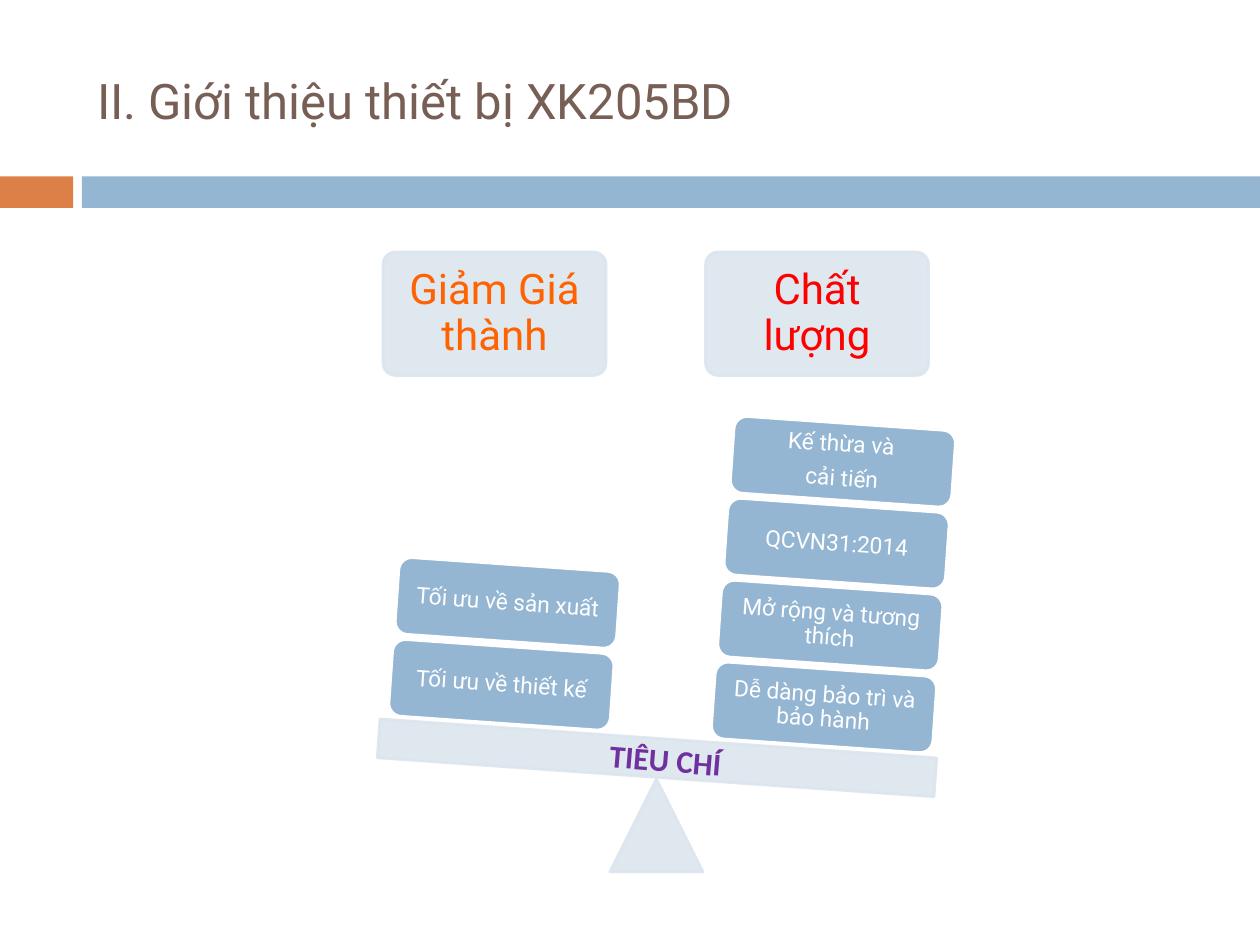
import pptx
import pptx.util
import pptx.dml.color
import pptx.enum.shapes
import pptx.enum.text
import pptx.oxml

Pt = pptx.util.Pt
Kind = pptx.enum.shapes.MSO_SHAPE
Align = pptx.enum.text.PP_ALIGN
Mid = pptx.enum.text.MSO_ANCHOR.MIDDLE

HUES = {
    "blue": "94B6D2", "pale": "DCE5EE", "rust": "DD8047", "brown": "775F55",
    "orange": "FF6201", "red": "FF0000", "violet": "7030A0", "white": "FFFFFF",
}

deck = pptx.Presentation()
deck.slide_width = pptx.util.Inches(10)
deck.slide_height = pptx.util.Inches(7.5)
CELL = deck.slide_width / 100
TILT = 4
slide = deck.slides.add_slide(deck.slide_layouts[5])


def draw(kind, box, fill, line=None, turn=0, clear=False):
    shape = slide.shapes.add_shape(kind, *[round(n * CELL) for n in box])
    shape.shadow.inherit = False
    shape.rotation = turn
    shape.fill.solid()
    shape.fill.fore_color.rgb = pptx.dml.color.RGBColor.from_string(HUES[fill])
    if line:
        shape.line.color.rgb = pptx.dml.color.RGBColor.from_string(HUES[line])
        shape.line.width = Pt(1.5)
    else:
        shape.line.fill.background()
    if clear:
        for tone in shape._element.spPr.xpath(".//a:srgbClr"):
            tone.append(pptx.oxml.parse_xml(
                '<a:alpha xmlns:a="http://schemas.openxmlformats.org/'
                'drawingml/2006/main" val="90000"/>'))
    return shape


def write(shape, text, size, hue, inset=None, align=Align.CENTER, face="Roboto",
          bold=False, lead=0.9):
    frame = shape.text_frame
    frame.text = text
    frame.word_wrap = True
    frame.vertical_anchor = Mid
    if inset:
        frame.margin_left = frame.margin_right = round(inset * CELL)
        frame.margin_top = frame.margin_bottom = round(inset * CELL)
    for row, para in enumerate(frame.paragraphs):
        para.alignment = align
        para.line_spacing = lead
        if row:
            para.space_before = Pt(5.5)
        para.font.name = face
        para.font.size = Pt(size)
        para.font.bold = bold
        para.font.color.rgb = pptx.dml.color.RGBColor.from_string(HUES[hue])


draw(Kind.RECTANGLE, (0, 14, 5.8, 2.5), "rust")
draw(Kind.RECTANGLE, (6.5, 14, 93.5, 2.5), "blue")

title = slide.shapes.title
title.left, title.top = round(6.7 * CELL), round(2.5 * CELL)
title.width, title.height = round(89.2 * CELL), round(10.8 * CELL)
write(title, "II. Giới thiệu thiết bị XK205BD", 28, "brown", align=Align.LEFT, lead=1.0)

draw(Kind.ISOSCELES_TRIANGLE, (48.4, 61.8, 7.4, 7.4), "pale", "pale", clear=True)
draw(Kind.RECTANGLE, (30, 58.6, 44.3, 3.1), "pale", "pale", TILT, True)

sides = [
    ("Giảm Giá thành", "orange", 30.4, 31, 51.3,
     ["Tối ưu về thiết kế", "Tối ưu về sản xuất"]),
    ("Chất lượng", "red", 56, 56.6, 53.1,
     ["Dễ dàng bảo trì và bảo hành", "Mở rộng và tương thích",
      "QCVN31:2014", "Kế thừa và \ncải tiến"]),
]
for name, hue, left, base, floor, items in sides:
    head = draw(Kind.ROUNDED_RECTANGLE, (left, 20, 17.7, 9.8), "pale", "pale", clear=True)
    head.adjustments[0] = 0.1
    write(head, name, 24, hue, 1)
    for step, item in enumerate(items):
        box = (base + 0.5 * step, floor - 6.5 * step, 17.6, 6.1)
        block = draw(Kind.ROUNDED_RECTANGLE, box, "blue", "white", TILT)
        write(block, item, 13, "white", 0.5)

label = slide.shapes.add_textbox(*[round(n * CELL) for n in (47.4, 58.3, 11.7, 4)])
label.rotation = 4.7
write(label, "TIÊU CHÍ", 18, "violet", align=Align.LEFT, face="Calibri", bold=True, lead=1.0)
label.text_frame.word_wrap = False

deck.save("out.pptx")
